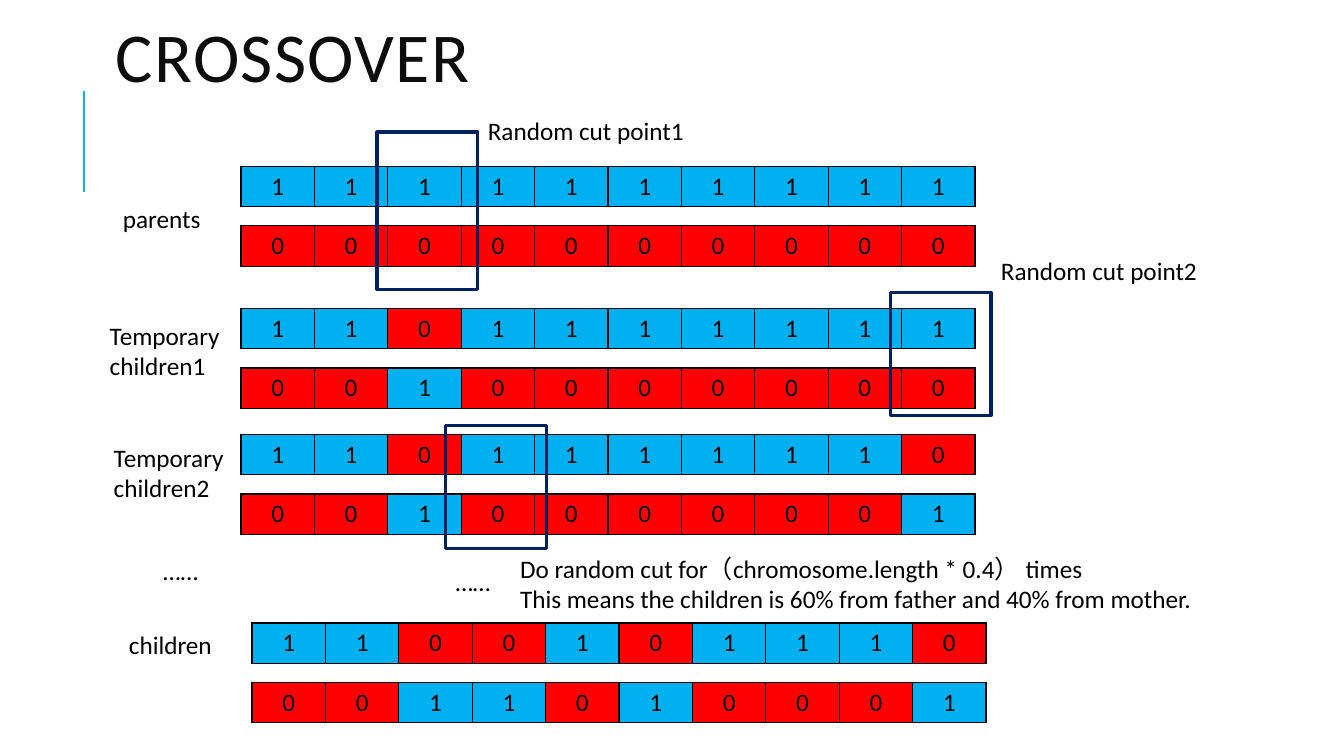
from dataclasses import dataclass

from lxml import etree
from pptx import Presentation
from pptx.dml.color import RGBColor
from pptx.enum.shapes import MSO_CONNECTOR, MSO_SHAPE
from pptx.enum.text import MSO_ANCHOR, PP_ALIGN
from pptx.oxml import parse_xml
from pptx.oxml.ns import nsdecls, qn
from pptx.util import Inches, Pt

RECTANGLE = MSO_SHAPE.RECTANGLE
STRAIGHT = MSO_CONNECTOR.STRAIGHT
CENTER = PP_ALIGN.CENTER
MIDDLE = MSO_ANCHOR.MIDDLE


@dataclass(frozen=True)
class Theme:
    font: str = "Calibri"
    title_size: int = 50
    body_size: int = 18
    title: str = "0D0D0D"
    text: str = "000000"
    accent: str = "1CADE4"
    frame: str = "002060"
    father: str = "00B0F0"
    mother: str = "FF0000"


THEME = Theme()


def style(paragraph, size=THEME.body_size, color=THEME.text):
    paragraph.font.name = THEME.font
    paragraph.font.size = Pt(size)
    paragraph.font.color.rgb = RGBColor.from_string(color)


prs = Presentation()
prs.slide_width, prs.slide_height = Inches(13.33), Inches(7.5)
slide = prs.slides.add_slide(prs.slide_layouts[6])
shapes = slide.shapes

# Accent line beside the title
accent = shapes.add_connector(STRAIGHT, Inches(0.83), Inches(1.9), Inches(0.83), Inches(0.9))
accent.line.color.rgb = RGBColor.from_string(THEME.accent)
accent.line.width = Pt(1.5)
etree.SubElement(accent._element.spPr, qn("a:effectLst"))

# Title
title = shapes.add_textbox(Inches(1.05), Inches(0.15), Inches(11), Inches(0.94)).text_frame
title.word_wrap = True
title.vertical_anchor = MIDDLE
heading = title.paragraphs[0]
heading.line_spacing = 0.8
style(heading, THEME.title_size, THEME.title)
heading_run = heading.add_run()
heading_run.text = "CROSSOVER"
heading_run._r.get_or_add_rPr().set("spc", "100")

# Labels and notes: left, top, width, height, text
labels = [
    (1.12, 1.97, 1.11, 0.4, "parents"),
    (0.99, 3.13, 1.4, 0.71, "Temporary\nchildren1"),
    (1.03, 4.34, 1.4, 0.71, "Temporary\nchildren2"),
    (1.18, 6.19, 1.21, 0.4, "children"),
    (4.74, 1.09, 2.44, 0.4, "Random cut point1"),
    (9.83, 2.48, 2.44, 0.4, "Random cut point2"),
    (1.52, 5.46, 1.72, 0.4, "……"),
    (4.42, 5.57, 1.72, 0.4, "……"),
    (5.06, 5.44, 7.59, 0.71,
     "Do random cut for（chromosome.length * 0.4） times\n"
     "This means the children is 60% from father and 40% from mother."),
]
for left, top, width, height, text in labels:
    label = shapes.add_textbox(Inches(left), Inches(top), Inches(width), Inches(height)).text_frame
    label.word_wrap = True
    label.text = text
    for paragraph in label.paragraphs:
        style(paragraph)

# Chromosome pairs: the second of each pair is the complement of the first
GENE_WIDTH, GENE_HEIGHT, PAIR_STEP = 0.728, 0.4, 0.59
gene_fill = {"1": THEME.father, "0": THEME.mother}
pairs = [
    (2.39, 1.65, "1111111111"),
    (2.39, 3.06, "1101111111"),
    (2.39, 4.31, "1101111110"),
    (2.5, 6.18, "1100101110"),
]
for left, top, first in pairs:
    second = first.translate(str.maketrans("01", "10"))
    for row, genes in enumerate((first, second)):
        chromosome = shapes.add_table(
            1, len(genes), Inches(left), Inches(top + row * PAIR_STEP),
            Inches(GENE_WIDTH * len(genes)), Inches(GENE_HEIGHT)).table
        chromosome.first_row = chromosome.horz_banding = False
        for column, gene in enumerate(genes):
            chromosome.columns[column].width = Inches(GENE_WIDTH)
            cell = chromosome.cell(0, column)
            cell.text = gene
            cell.text_frame.paragraphs[0].alignment = CENTER
            style(cell.text_frame.paragraphs[0])
            for side in ("lnL", "lnR", "lnT", "lnB"):
                cell._tc.get_or_add_tcPr().append(parse_xml(
                    f'<a:{side} {nsdecls("a")} w="12700"><a:solidFill>'
                    f'<a:srgbClr val="{THEME.text}"/></a:solidFill></a:{side}>'))
            cell.fill.solid()
            cell.fill.fore_color.rgb = RGBColor.from_string(gene_fill[gene])

# Frames around the cut points
for left, top, height in [(3.74, 1.31, 1.56), (8.83, 2.9, 1.22), (4.42, 4.22, 1.22)]:
    cut = shapes.add_shape(RECTANGLE, Inches(left), Inches(top), Inches(1), Inches(height))
    cut.shadow.inherit = False
    cut.fill.background()
    cut.line.color.rgb = RGBColor.from_string(THEME.frame)
    cut.line.width = Pt(2.25)

prs.save("out.pptx")
